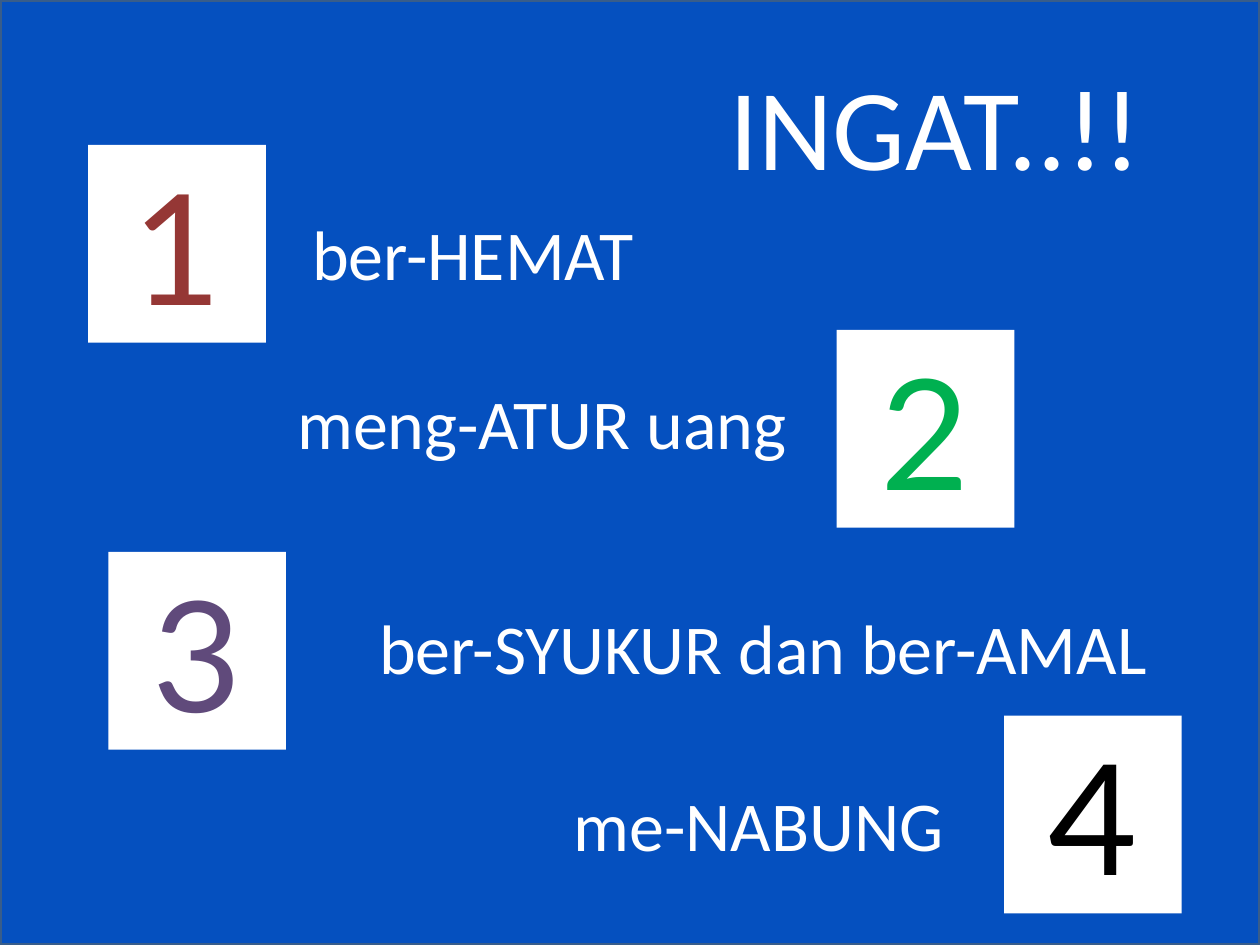
from pptx import Presentation
from pptx.dml.color import RGBColor
from pptx.enum.shapes import MSO_SHAPE
from pptx.enum.text import MSO_ANCHOR, PP_ALIGN
from pptx.util import Pt

# Each box is left, top, width in points; each tile is left, top.
TITLE = ("INGAT..!!", (365.8, 28.1, 337.7))
REMINDERS = [
    {"number": "1", "color": "953735", "tile": (50.4, 82.8),
     "advice": "ber-HEMAT", "box": (101.5, 116.6, 337.7)},
    {"number": "2", "color": "00B050", "tile": (478.1, 188.6),
     "advice": "meng-ATUR uang", "box": (101.5, 213.1, 416.2)},
    {"number": "3", "color": "604A7B", "tile": (61.9, 315.4),
     "advice": "ber-SYUKUR dan ber-AMAL", "box": (157.7, 342, 556.6)},
    {"number": "4", "color": "000000", "tile": (573.8, 409),
     "advice": "me-NABUNG", "box": (163.4, 442.8, 540)},
]

THEME = {
    "backdrop": "0550BF", "border": "385D8A", "white": "FFFFFF",
    "text_font": "Calibri", "number_font": "Lato",
    "title_size": 66, "advice_size": 40, "number_size": 88,
}
SLIDE_SIZE = (720, 540)
TILE_SIZE = (101.5, 113)
TITLE_HEIGHT, ADVICE_HEIGHT = 86.4, 55.4


def rgb(name):
    return RGBColor.from_string(THEME.get(name, name))


def add_rectangle(slide, position, size, fill):
    rectangle = slide.shapes.add_shape(
        MSO_SHAPE.RECTANGLE, *map(Pt, position + size))
    rectangle.shadow.inherit = False
    rectangle.fill.solid()
    rectangle.fill.fore_color.rgb = rgb(fill)
    rectangle.line.fill.background()
    return rectangle


def write(shape, text, font_name, size, color):
    """Put one centred line of text into the shape, from its top edge."""
    frame = shape.text_frame
    frame.word_wrap = True
    frame.vertical_anchor = MSO_ANCHOR.TOP
    line = frame.paragraphs[0]
    line.text = text
    line.alignment = PP_ALIGN.CENTER
    line.font.name = THEME[font_name]
    line.font.size = Pt(THEME[size])
    line.font.color.rgb = rgb(color)


def add_label(slide, text, box, height, size):
    label = slide.shapes.add_textbox(*map(Pt, box + (height,)))
    write(label, text, "text_font", size, "white")


def main():
    deck = Presentation()
    deck.slide_width, deck.slide_height = map(Pt, SLIDE_SIZE)
    slide = deck.slides.add_slide(deck.slide_layouts[6])

    backdrop = add_rectangle(slide, (0, 0), SLIDE_SIZE, "backdrop")
    backdrop.line.color.rgb = rgb("border")
    backdrop.line.width = Pt(2)

    for reminder in REMINDERS:
        tile = add_rectangle(slide, reminder["tile"], TILE_SIZE, "white")
        write(tile, reminder["number"], "number_font", "number_size",
              reminder["color"])
        add_label(slide, reminder["advice"], reminder["box"],
                  ADVICE_HEIGHT, "advice_size")

    add_label(slide, *TITLE, TITLE_HEIGHT, "title_size")
    deck.save("out.pptx")


if __name__ == "__main__":
    main()
